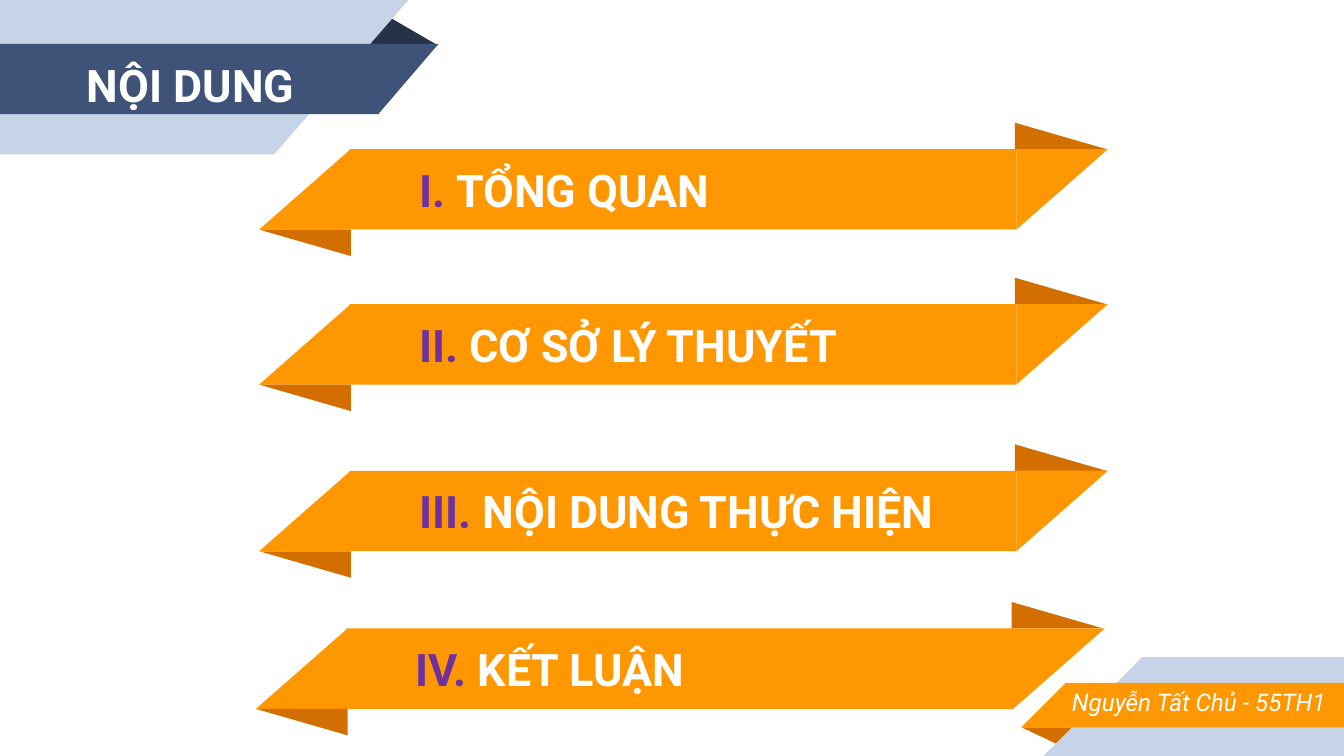
from pptx import Presentation
from pptx import util as u
from pptx.dml.color import RGBColor
from pptx.enum import shapes, text

FONT = "Roboto"
WHITE, PURPLE = "FFFFFF", "7030A0"
ORANGE, DARK_ORANGE = "FF9800", "D26F00"
NAVY, DARK_NAVY, PALE_BLUE = "3F5378", "263248", "C7D3E6"

RECTANGLE = shapes.MSO_SHAPE.RECTANGLE
RIGHT_TRIANGLE = shapes.MSO_SHAPE.RIGHT_TRIANGLE
TRIANGLE = shapes.MSO_SHAPE.ISOSCELES_TRIANGLE

# Left and top of each ribbon body in cm, then number and heading
RIBBONS = [
    (4.9, 2.82, "I. ", "TỔNG QUAN"),
    (4.9, 5.75, "II. ", "CƠ SỞ LÝ THUYẾT"),
    (4.9, 8.9, "III. ", "NỘI DUNG THỰC HIỆN"),
    (4.84, 11.88, "IV. ", "KẾT LUẬN"),
]


def color(value):
    return RGBColor.from_string(value)


def add_piece(group, kind, box, fill, flip=None, rotation=0, apex=None):
    """Add one flat shape; box is left, top, width, height in cm."""
    shape = group.shapes.add_shape(kind, *map(u.Cm, box))
    shape.shadow.inherit = False
    shape.fill.solid()
    shape.fill.fore_color.rgb = color(fill)
    shape.line.fill.background()
    shape.rotation = rotation
    if apex is not None:
        shape.adjustments[0] = apex
    if flip:
        shape.element.spPr.xfrm.set(flip, "1")


def format_text(frame, size, align=None, anchor=None, inset=None, **style):
    frame.word_wrap = True
    frame.auto_size = text.MSO_AUTO_SIZE.NONE
    if anchor is not None:
        frame.vertical_anchor = anchor
    if inset is not None:
        frame.margin_left = frame.margin_right = u.Cm(inset)
        frame.margin_top = frame.margin_bottom = u.Cm(inset)
    paragraph = frame.paragraphs[0]
    paragraph.alignment = align
    font = paragraph.font
    font.name, font.size = FONT, u.Pt(size)
    font.color.rgb = color(WHITE)
    for name, value in style.items():
        setattr(font, name, value)
    return paragraph


def add_title(slide, wording):
    title = slide.shapes.title
    title.left, title.top, title.width, title.height = map(
        u.Cm, (0, 0.79, 7.21, 1.32))
    title.text_frame.text = wording
    paragraph = format_text(title.text_frame, 24, text.PP_ALIGN.CENTER,
                            text.MSO_ANCHOR.MIDDLE, 0.25, bold=True)
    paragraph.line_spacing = 1.3
    # Bring the title in front of its banner
    title.element.getparent().append(title.element)


def add_title_banner(slide):
    group = slide.shapes.add_group_shape()
    add_piece(group, TRIANGLE, (6.81, 0.28, 1.47, 0.58), DARK_NAVY, apex=0.32)
    add_piece(group, RECTANGLE, (0, 0, 5.18, 2.92), PALE_BLUE)
    add_piece(group, RIGHT_TRIANGLE, (5.18, 0, 2.54, 2.92), PALE_BLUE, "flipV")
    add_piece(group, RECTANGLE, (0, 0.83, 7.16, 1.33), NAVY)
    add_piece(group, RIGHT_TRIANGLE, (7.15, 0.83, 1.14, 1.33), NAVY, "flipV")


def add_footer(slide, wording):
    group = slide.shapes.add_group_shape()
    add_piece(group, TRIANGLE, (19.31, 13.75, 1.09, 0.35), DARK_ORANGE,
              rotation=180, apex=0.32)
    add_piece(group, RECTANGLE, (21.58, 12.42, 3.82, 1.87), PALE_BLUE)
    add_piece(group, RIGHT_TRIANGLE, (19.72, 12.42, 1.87, 1.87), PALE_BLUE,
              "flipH")
    add_piece(group, RECTANGLE, (20.13, 12.91, 5.27, 0.84), ORANGE)
    add_piece(group, RIGHT_TRIANGLE, (19.3, 12.91, 0.84, 0.84), ORANGE, "flipH")

    box = slide.shapes.add_textbox(*map(u.Cm, (19.76, 12.87, 5.54, 0.89)))
    box.text_frame.text = wording
    format_text(box.text_frame, 13, text.PP_ALIGN.RIGHT, italic=True)


def add_ribbon(slide, left, top, number, heading):
    wing, body, height, fold = 1.73, 12.6, 1.52, 0.5
    body_left = left + wing - 0.02
    body_right = body_left + body
    group = slide.shapes.add_group_shape()
    add_piece(group, TRIANGLE, (body_right - 0.03, top - fold, wing, fold),
              DARK_ORANGE, apex=0)
    add_piece(group, RECTANGLE, (body_left, top, body, height), ORANGE)
    add_piece(group, RIGHT_TRIANGLE, (body_right, top, wing, height), ORANGE,
              "flipV")
    add_piece(group, RIGHT_TRIANGLE, (left, top, wing, height), ORANGE, "flipH")
    add_piece(group, TRIANGLE, (left, top + height, wing, fold), DARK_ORANGE,
              rotation=180, apex=0)

    box = slide.shapes.add_textbox(
        *map(u.Cm, (left + 2.77, top + 0.02, 12.45, 1.47)))
    paragraph = format_text(box.text_frame, 24, anchor=text.MSO_ANCHOR.MIDDLE,
                            inset=0.25, bold=True)
    for wording, fill in ((number, PURPLE), (heading, WHITE)):
        run = paragraph.add_run()
        run.text = wording
        run.font.color.rgb = color(fill)


def main():
    presentation = Presentation()
    presentation.slide_width = u.Cm(25.4)
    presentation.slide_height = u.Cm(14.29)
    title_only = presentation.slide_layouts[5]
    slide = presentation.slides.add_slide(title_only)

    add_title_banner(slide)
    add_title(slide, "NỘI DUNG")
    for ribbon in RIBBONS:
        add_ribbon(slide, *ribbon)
    add_footer(slide, "Nguyễn Tất Chủ - 55TH1")

    presentation.save("out.pptx")


if __name__ == "__main__":
    main()
